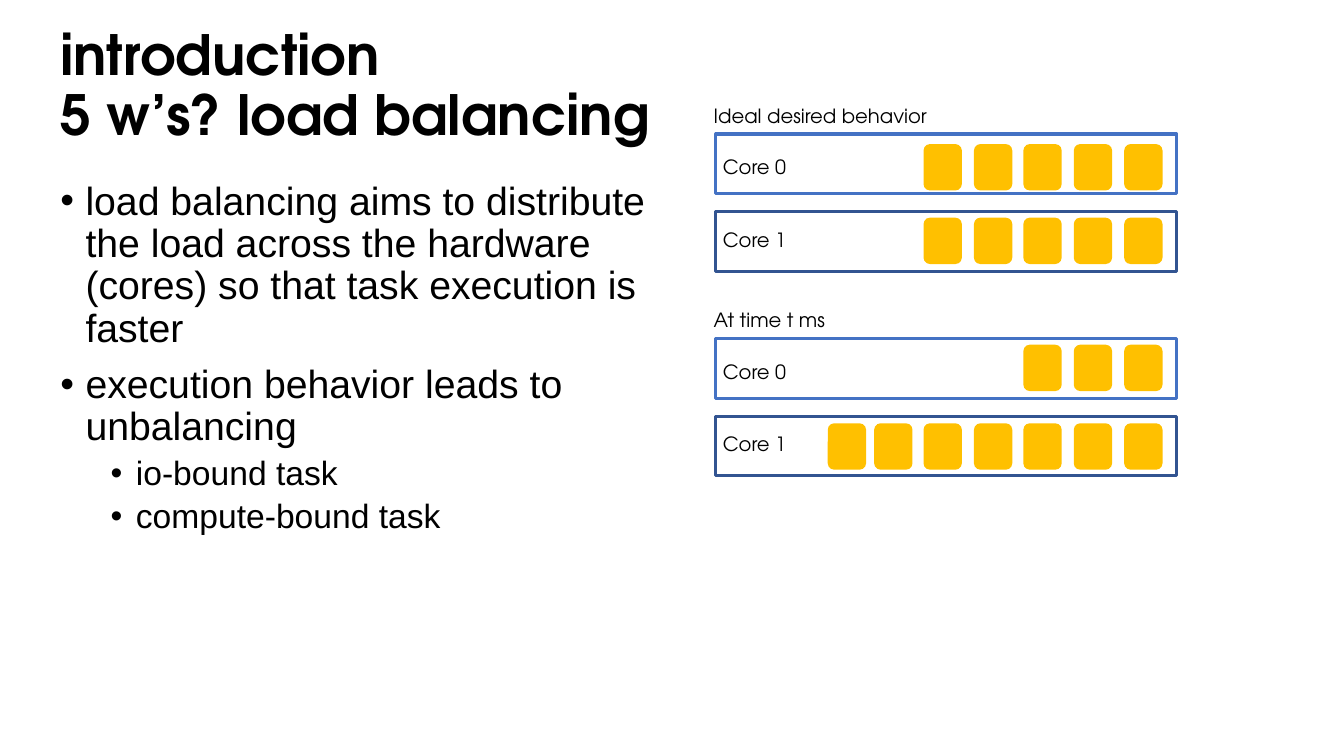
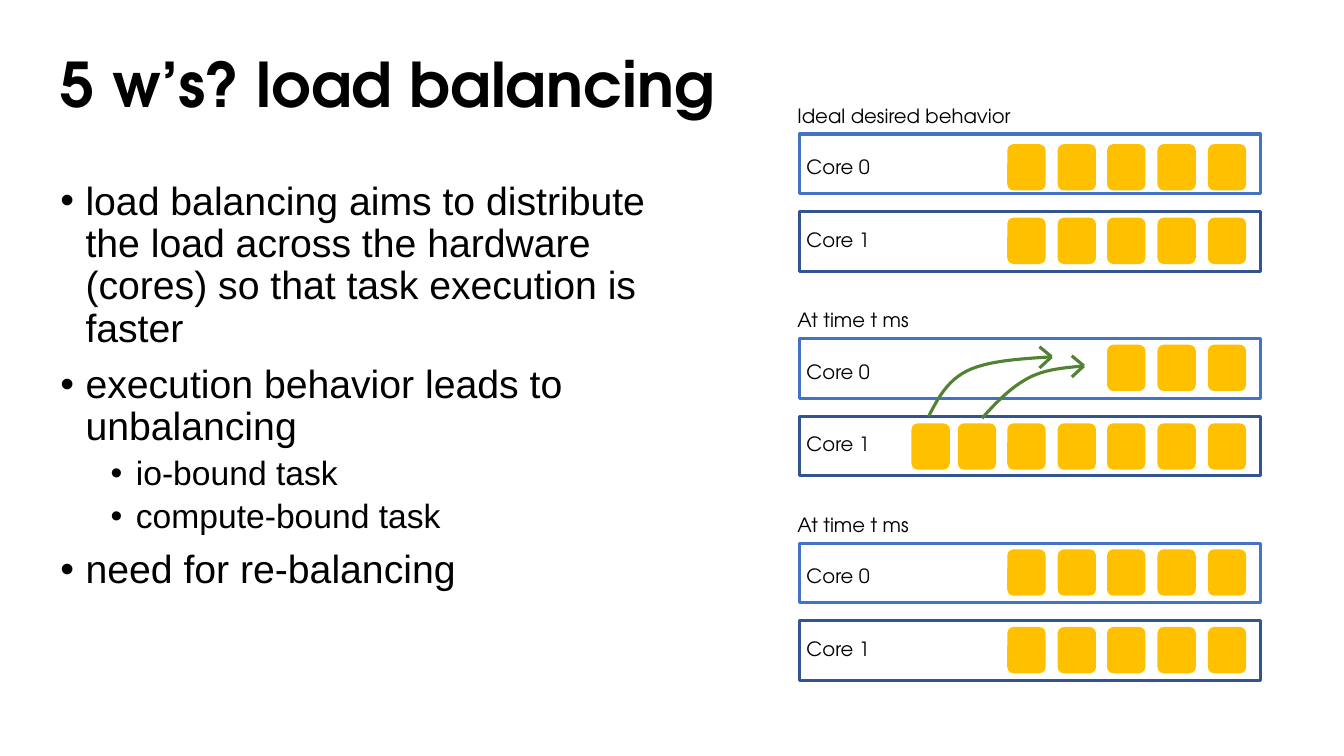
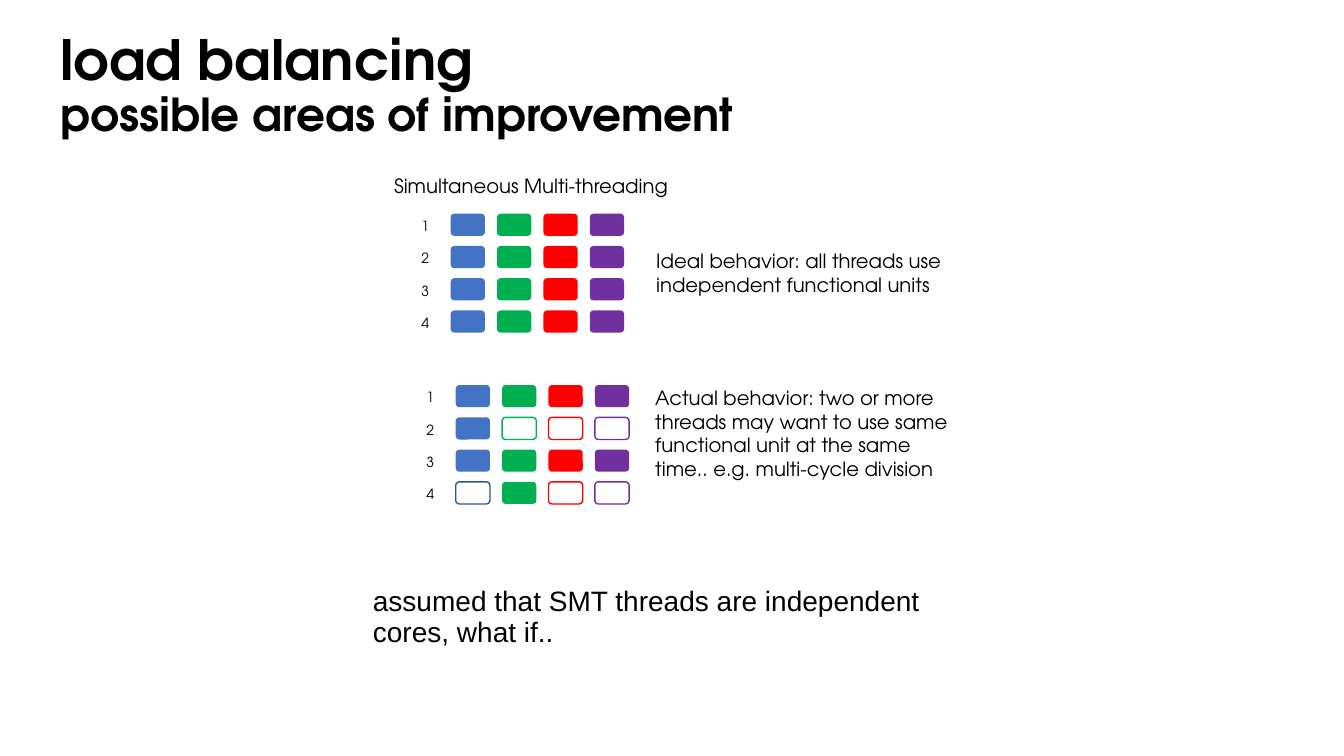
from lxml import etree
from pptx import Presentation
from pptx.dml.color import RGBColor
from pptx.enum.shapes import MSO_CONNECTOR, MSO_SHAPE
from pptx.enum.text import MSO_ANCHOR
from pptx.oxml.ns import qn
from pptx.util import Inches, Pt

RECT, ROUNDED = MSO_SHAPE.RECTANGLE, MSO_SHAPE.ROUNDED_RECTANGLE
STRAIGHT = MSO_CONNECTOR.STRAIGHT
TOP, MIDDLE = MSO_ANCHOR.TOP, MSO_ANCHOR.MIDDLE

HEADING_FONT, BODY_FONT = "TeX Gyre Adventor", "Arial"
BLACK, AMBER, ARROW_GREEN = "000000", "FFC000", "548235"
CORE_COLOURS = ("4472C4", "325491")
# Fill and outline colour of each functional unit
UNITS = (("4472C4", "2F5597"), ("00B050", "00B050"),
         ("FF0000", "FF0000"), ("7030A0", "7030A0"))

TITLE_BOX = (0.5, 0.4, 12.38, 0.93)
BODY_BOX = (0.5, 1.75, 6.17, 5.08)
LANE_W, LANE_H, LANE_PITCH = 4.57, 0.59, 0.77
TASK_W, TASK_H = 0.38, 0.46
TASK_SLOTS = (4.05, 3.55, 3.05, 2.56, 2.06, 1.57, 1.11)
PAIR_TOP, PAIR_PITCH = 1.33, 2.03
UNIT_W, UNIT_H, UNIT_PITCH, ROW_PITCH = 0.34, 0.22, 0.46, 0.32

# Tasks waiting on core 0 and core 1, and the gap above them in each lane
IDEAL = ("Ideal desired behavior", (5, 5), (0.1, 0.06))
UNBALANCED = ("At time t ms", (3, 7), (0.06, 0.07))
REBALANCED = ("At time t ms", (5, 5), (0.06, 0.06))

# Text and level of each bullet
BULLETS = (
    ("load balancing aims to distribute the load across the hardware (cores) "
     "so that task execution is faster", 0),
    ("execution behavior leads to unbalancing", 0),
    ("io-bound task", 1),
    ("compute-bound task", 1),
)


def colour(value):
    """Turn a hex string into a colour."""
    return RGBColor.from_string(value)


def style(font, size, name=HEADING_FONT, bold=False):
    """Set the look of a paragraph or run font."""
    font.name, font.size, font.bold = name, Pt(size), bold
    font.color.rgb = colour(BLACK)


def text_frame(slide, box, anchor=TOP, wrap=True):
    """Add an empty text box and return its frame."""
    frame = slide.shapes.add_textbox(*map(Inches, box)).text_frame
    frame.word_wrap, frame.vertical_anchor = wrap, anchor
    return frame


def label(slide, text, box, size=14, wrap=True):
    """Add a small one-paragraph label."""
    paragraph = text_frame(slide, box, wrap=wrap).paragraphs[0]
    paragraph.text = text
    style(paragraph.font, size)


def title(slide, *lines):
    """Add the bold slide title from (text, size) lines."""
    paragraph = text_frame(slide, TITLE_BOX, MIDDLE).paragraphs[0]
    paragraph.line_spacing = 0.9
    for index, (text, size) in enumerate(lines):
        if index:
            paragraph.add_line_break()
        run = paragraph.add_run()
        run.text = text
        style(run.font, size, bold=True)


def body_paragraph(paragraph, text, size, space):
    """Fill one paragraph of body text."""
    paragraph.text = text
    paragraph.line_spacing, paragraph.space_before = 0.9, Pt(space)
    style(paragraph.font, size, BODY_FONT)


def bullet_list(slide, box, bullets):
    """Add a two-level bulleted list."""
    frame = text_frame(slide, box)
    for index, (text, level) in enumerate(bullets):
        paragraph = frame.add_paragraph() if index else frame.paragraphs[0]
        body_paragraph(paragraph, text, (28, 24)[level], (10, 5)[level])
        paragraph.level = level
        props = paragraph._p.get_or_add_pPr()
        props.set("marL", str(Inches(0.25 + 0.5 * level)))
        props.set("indent", str(Inches(-0.25)))
        etree.SubElement(props, qn("a:buFont")).set("typeface", BODY_FONT)
        etree.SubElement(props, qn("a:buChar")).set("char", "•")


def block(slide, kind, box, fill=None, line=None, width=1):
    """Add a plain shape with a fill, an outline or both."""
    shape = slide.shapes.add_shape(kind, *map(Inches, box))
    shape.shadow.inherit = False
    if fill:
        shape.fill.solid()
        shape.fill.fore_color.rgb = colour(fill)
    else:
        shape.fill.background()
    if line:
        shape.line.color.rgb, shape.line.width = colour(line), Pt(width)
    else:
        shape.line.fill.background()


def core_pair(slide, left, top, caption, loads, gaps):
    """Draw two captioned core lanes with their queued tasks."""
    label(slide, caption, (left - 0.12, top - 0.35, 3.28, 0.34))
    for core, (load, gap) in enumerate(zip(loads, gaps)):
        lane_top = top + core * LANE_PITCH
        block(slide, RECT, (left, lane_top, LANE_W, LANE_H),
              line=CORE_COLOURS[core], width=2.25)
        label(slide, f"Core {core}",
              (left - 0.03, top + 0.16 + 0.72 * core, 1.05, 0.34))
        for slot in TASK_SLOTS[:load]:
            block(slide, ROUNDED,
                  (left + slot, lane_top + gap, TASK_W, TASK_H), fill=AMBER)


def core_pairs(slide, left, pairs):
    """Stack core pairs down the right of the slide."""
    for index, pair in enumerate(pairs):
        core_pair(slide, left, PAIR_TOP + index * PAIR_PITCH, *pair)


def bezier(p0, p1, p2, p3, steps=12):
    """Return points along a cubic curve, without its start."""
    points = []
    for step in range(1, steps + 1):
        t = step / steps
        weights = ((1 - t) ** 3, 3 * t * (1 - t) ** 2,
                   3 * t * t * (1 - t), t ** 3)
        points.append(tuple(sum(w * v for w, v in zip(weights, axis))
                            for axis in zip(p0, p1, p2, p3)))
    return points


def migration_arrow(slide, nodes):
    """Draw a two-part curve with an open arrowhead at its end."""
    points = bezier(*nodes[:4]) + bezier(*nodes[3:])
    builder = slide.shapes.build_freeform(*map(Inches, nodes[0]))
    builder.add_line_segments([tuple(map(Inches, p)) for p in points],
                              close=False)
    curve = builder.convert_to_shape()
    curve.shadow.inherit = False
    curve.fill.background()
    strokes = [curve]
    tip_x, tip_y = nodes[-1]
    for rise in (-0.1, 0.11):
        barb = slide.shapes.add_connector(
            STRAIGHT, *map(Inches, (tip_x - 0.12, tip_y + rise, tip_x, tip_y)))
        etree.SubElement(barb._element.spPr, qn("a:effectLst"))
        strokes.append(barb)
    for stroke in strokes:
        stroke.line.color.rgb, stroke.line.width = colour(ARROW_GREEN), Pt(2.25)


def unit_grid(slide, left, top, rows):
    """Draw numbered threads; 1 marks a busy unit and 0 an idle one."""
    for row, states in enumerate(rows):
        row_top = top + row * ROW_PITCH
        label(slide, str(row + 1), (left - 0.39, row_top - 0.01, 0.29, 0.27),
              size=10, wrap=False)
        for column, (busy, (fill, line)) in enumerate(zip(states, UNITS)):
            box = (left + column * UNIT_PITCH, row_top, UNIT_W, UNIT_H)
            if busy == "1":
                block(slide, ROUNDED, box, fill=fill)
            else:
                block(slide, ROUNDED, box, line=line)


def introduction(slide):
    """Build the slide on balanced and unbalanced cores."""
    title(slide, ("introduction", 39.6), ("5 w’s? load balancing", 39.6))
    bullet_list(slide, BODY_BOX, BULLETS)
    core_pairs(slide, 7.1, (IDEAL, UNBALANCED))


def rebalancing(slide):
    """Build the slide on moving tasks between cores."""
    title(slide, ("5 w’s? load balancing", 44))
    bullet_list(slide, BODY_BOX, BULLETS + (("need for re-balancing", 0),))
    core_pairs(slide, 7.93, (IDEAL, UNBALANCED, REBALANCED))
    migration_arrow(slide, ((9.21, 4.13), (9.3, 3.96), (9.39, 3.78),
                            (9.59, 3.68), (9.79, 3.58), (10.11, 3.56),
                            (10.43, 3.54)))
    migration_arrow(slide, ((9.74, 4.15), (9.88, 3.99), (10.03, 3.84),
                            (10.2, 3.75), (10.37, 3.66), (10.56, 3.65),
                            (10.75, 3.63)))


def improvement(slide):
    """Build the slide on simultaneous multi-threading."""
    title(slide, ("load balancing", 39.6),
          ("possible areas of improvement", 32.4))
    label(slide, "Simultaneous Multi-threading", (3.81, 1.68, 3.07, 0.34))
    unit_grid(slide, 4.47, 2.12, ("1111",) * 4)
    label(slide, "Ideal behavior: all threads use independent functional units",
          (6.41, 2.42, 3.07, 0.57))
    unit_grid(slide, 4.52, 3.82, ("1111", "1000", "1111", "0100"))
    label(slide, "Actual behavior: two or more threads may want to use same "
          "functional unit at the same time.. e.g. multi-cycle division",
          (6.4, 3.78, 3.31, 1.04))
    assumption = text_frame(slide, (3.6, 5.78, 6.17, 1.05)).paragraphs[0]
    body_paragraph(assumption, "assumed that SMT threads are independent "
                   "cores, what if..", 20, 10)


def main():
    """Build and save the deck."""
    deck = Presentation()
    deck.slide_width, deck.slide_height = Inches(13.33), Inches(7.5)
    for build in (introduction, rebalancing, improvement):
        build(deck.slides.add_slide(deck.slide_layouts[6]))
    deck.save("out.pptx")


main()
